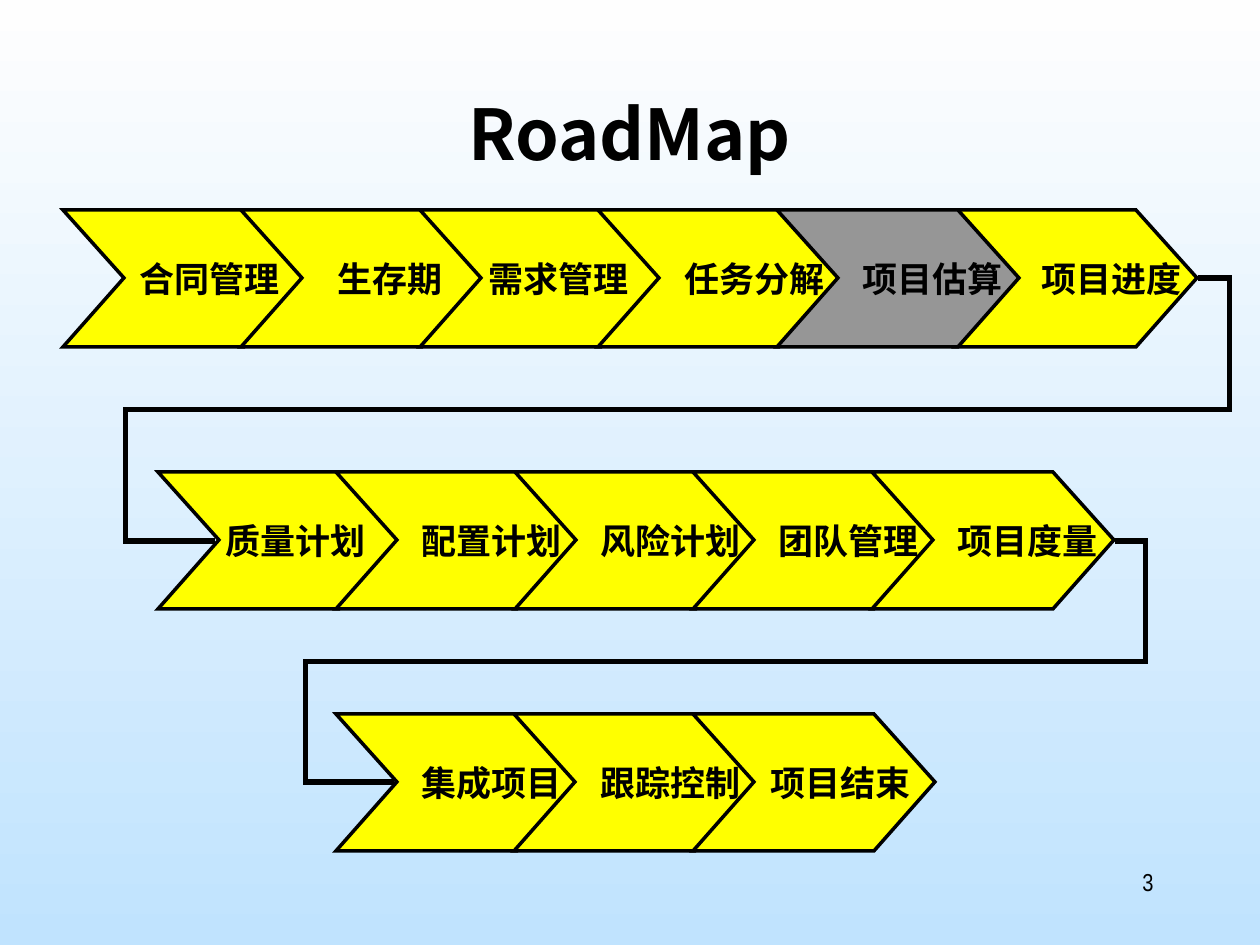
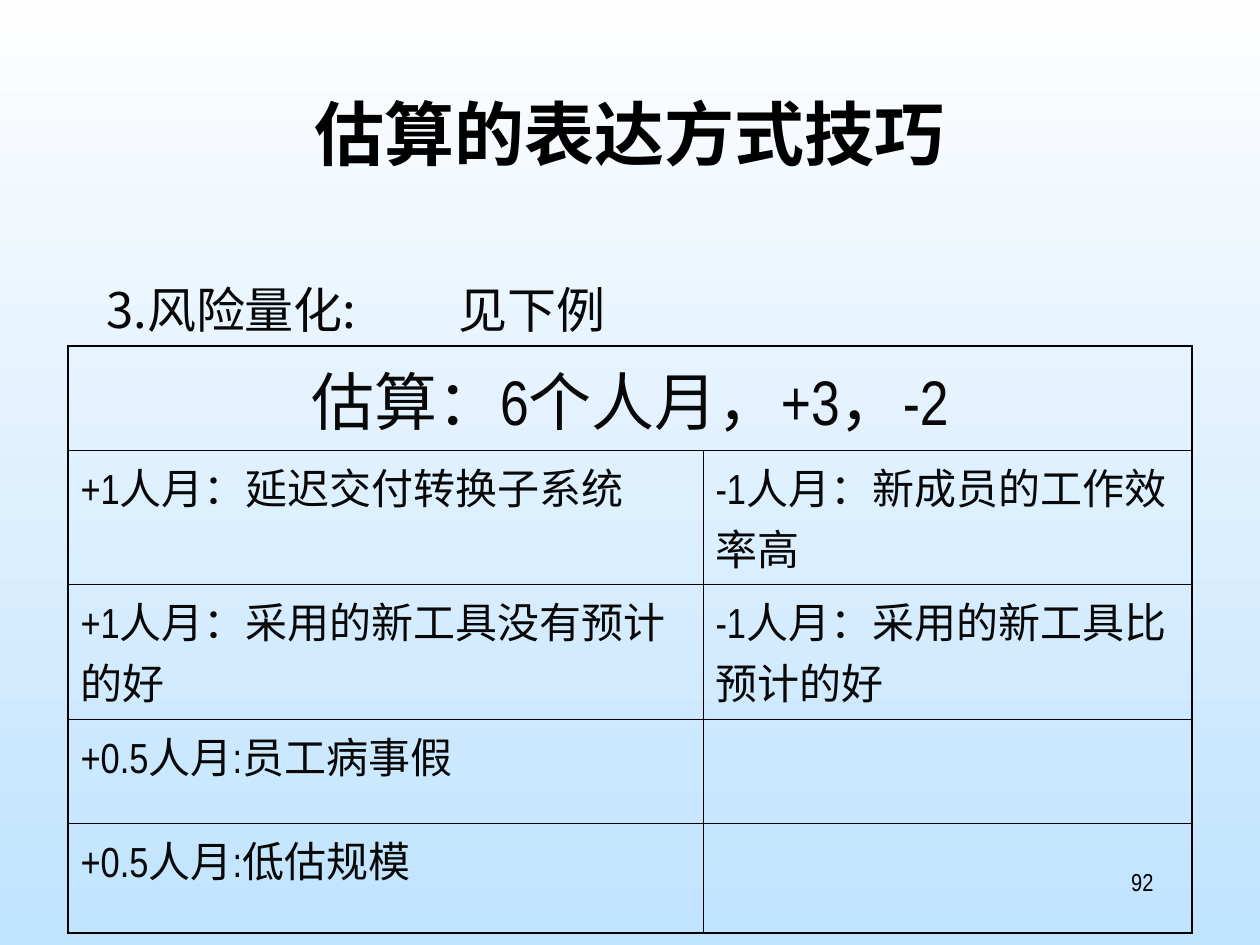
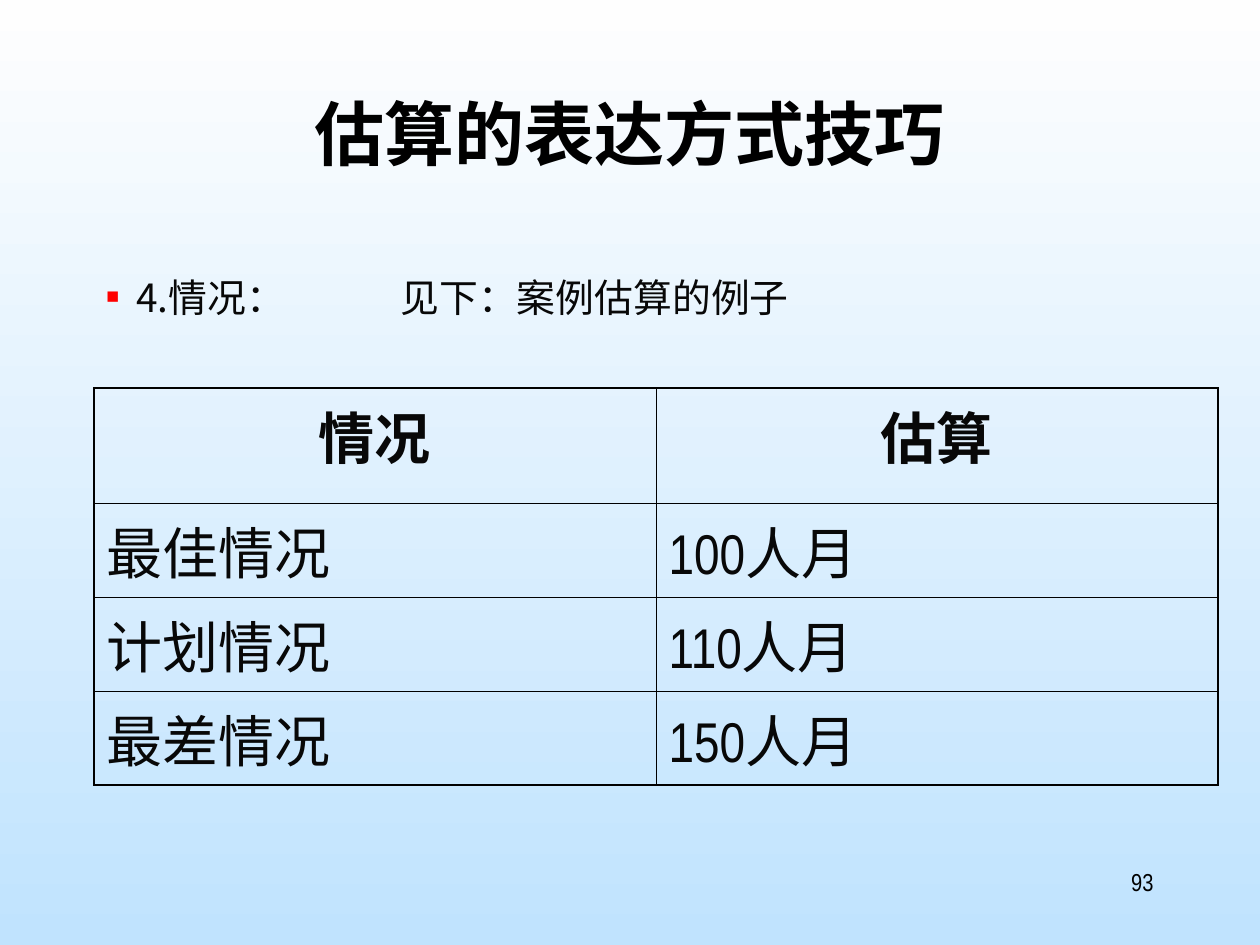
import pptx
import pptx.dml.color
import pptx.enum.shapes
import pptx.enum.text
import pptx.oxml
import pptx.oxml.ns
import pptx.util
from lxml import etree

RGB = pptx.dml.color.RGBColor
ALIGN = pptx.enum.text.PP_ALIGN
BLACK = RGB(0x00, 0x00, 0x00)
INK = RGB(0x08, 0x08, 0x08)
YELLOW = RGB(0xFF, 0xFF, 0x00)
GREY = RGB(0x96, 0x96, 0x96)
RED = RGB(0xFF, 0x00, 0x00)
SKY_TOP = RGB(0xFE, 0xFE, 0xFE)
SKY_BOTTOM = RGB(0xC0, 0xE3, 0xFE)

NARROW = "Arial Narrow"
SANS = "Noto Sans CJK SC"
PX_PER_INCH = 126
EMU_PER_PX = 914400 / PX_PER_INCH

# Chevron geometry in px; the pitch is half of PITCH_PAIR
STEP_W, STEP_H, STEP_NOTCH, PITCH_PAIR = 242, 137, 61, 357
INSET = 12
LABEL_SHIFT = 35

# Each row: left, top, and (label, shift of the label from the centre)
ROADMAP = [
    (63, 210, [("合同管理", 26), ("生存期", 28), ("需求管理", 18),
               ("任务分解", 36), ("项目估算", LABEL_SHIFT),
               ("项目进度", 36)]),
    (158, 472, [("质量计划", 17), ("配置计划", LABEL_SHIFT),
                ("风险计划", LABEL_SHIFT), ("团队管理", LABEL_SHIFT),
                ("项目度量", LABEL_SHIFT)]),
    (336, 714, [("集成项目", LABEL_SHIFT), ("跟踪控制", 36),
                ("项目结束", 27)]),
]
CURRENT_STEP = "项目估算"

RISKS = [
    ["估算：6个人月，+3，-2", ""],
    ["+1人月：延迟交付转换子系统", "-1人月：新成员的工作效率高"],
    ["+1人月：采用的新工具没有预计的好", "-1人月：采用的新工具比预计的好"],
    ["+0.5人月:员工病事假", ""],
    ["+0.5人月:低估规模", ""],
]
CASES = [
    ["情况", "估算"],
    ["最佳情况", "100人月"],
    ["计划情况", "110人月"],
    ["最差情况", "150人月"],
]


def px(length):
    return pptx.util.Emu(round(length * EMU_PER_PX))


def set_all(target, values):
    for name, value in values.items():
        setattr(target, name, value)


def add_xml(parent, tag, **attributes):
    child = etree.SubElement(parent, pptx.oxml.ns.qn(tag))
    for name, value in attributes.items():
        child.set(name, str(value))
    return child


def write(paragraph, text, size, font=NARROW, color=BLACK, bold=False, **layout):
    """Put one formatted run in a paragraph; layout holds paragraph values."""
    set_all(paragraph, layout)
    run = paragraph.add_run()
    run.text = text
    set_all(run.font, {"name": font, "size": pptx.util.Pt(size), "bold": bold})
    run.font.color.rgb = color
    add_xml(run.font._element, "a:ea", typeface=SANS)


def add_text(slide, box, text, size, **style):
    frame = slide.shapes.add_textbox(*map(px, box)).text_frame
    frame.word_wrap = True
    write(frame.paragraphs[0], text, size, **style)
    return frame.paragraphs[0]


def add_tab(paragraph, position):
    tabs = add_xml(paragraph._p.get_or_add_pPr(), "a:tabLst")
    add_xml(tabs, "a:tab", pos=px(position), algn="l")


def add_bullet(paragraph, indent):
    props = paragraph._p.get_or_add_pPr()
    props.set("marL", str(px(indent)))
    props.set("indent", str(-px(indent)))
    add_xml(add_xml(props, "a:buClr"), "a:srgbClr", val=RED)
    add_xml(props, "a:buSzPct", val=55000)
    add_xml(props, "a:buFont", typeface=NARROW)
    add_xml(props, "a:buChar", char="■")


def draw_line(line, points):
    """Black line with sharp corners."""
    line.color.rgb = BLACK
    line.width = pptx.util.Pt(points)
    add_xml(line._get_or_add_ln(), "a:miter", lim=800000)


def paint_background(master):
    fill = master.background.fill
    fill.gradient()
    fill.gradient_angle = 270
    for stop, color in zip(fill.gradient_stops, (SKY_TOP, SKY_BOTTOM)):
        stop.color.rgb = color


def new_slide(deck, title, number):
    slide = deck.slides.add_slide(deck.slide_layouts[6])
    add_text(slide, (94, 84, 1071, 158), title, 40, font=SANS, bold=True,
             alignment=ALIGN.CENTER)
    add_text(slide, (903, 861, 263, 63), number, 14, alignment=ALIGN.RIGHT)
    return slide


def add_step(slide, left, top, label, shift):
    right, bottom, middle = left + STEP_W, top + STEP_H, top + STEP_H / 2
    outline = slide.shapes.build_freeform(left, top, scale=EMU_PER_PX)
    outline.add_line_segments([
        (right - STEP_NOTCH, top), (right, middle),
        (right - STEP_NOTCH, bottom), (left, bottom),
        (left + STEP_NOTCH, middle)], close=True)
    step = outline.convert_to_shape()
    step.shadow.inherit = False
    step.fill.solid()
    step.fill.fore_color.rgb = GREY if label == CURRENT_STEP else YELLOW
    draw_line(step.line, 2)
    set_all(step.text_frame, {
        "word_wrap": False,
        "vertical_anchor": pptx.enum.text.MSO_ANCHOR.MIDDLE,
        "margin_left": px(INSET + 2 * shift),
        "margin_right": px(INSET),
    })
    write(step.text_frame.paragraphs[0], label, 20, bold=True,
          alignment=ALIGN.CENTER)


def add_return_line(slide, start, end, outer_x, inner_x):
    """Lead from the end of one row round to the start of the next."""
    connector = slide.shapes.add_connector(
        pptx.enum.shapes.MSO_CONNECTOR.ELBOW, *map(px, start + end))
    draw_line(connector.line, 3)
    props = connector._element.spPr
    add_xml(props, "a:effectLst")
    geometry = props.find(pptx.oxml.ns.qn("a:prstGeom"))
    geometry.set("prst", "bentConnector5")
    run = end[0] - start[0]
    bends = ((outer_x - start[0]) / run, 0.5, (inner_x - start[0]) / run)
    for index, bend in enumerate(bends, 1):
        add_xml(geometry.find(pptx.oxml.ns.qn("a:avLst")), "a:gd",
                name=f"adj{index}", fmla=f"val {round(bend * 100000)}")


def set_borders(cell, outer_sides):
    props = cell._tc.get_or_add_tcPr()
    for index, side in enumerate("LRTB"):
        points = 1.08 if side in outer_sides else 0.45
        border = add_xml(props, f"a:ln{side}", w=pptx.util.Pt(points))
        add_xml(add_xml(border, "a:solidFill"), "a:srgbClr", val=BLACK)
        props.insert(index, border)


def add_grid(slide, left, top, widths, heights, rows, size, gap, header,
             header_span=1):
    box = map(px, (left, top, sum(widths), sum(heights)))
    table = slide.shapes.add_table(len(rows), len(widths), *box).table
    set_all(table, {"first_row": False, "horz_banding": False})
    if header_span > 1:
        table.cell(0, 0).merge(table.cell(0, header_span - 1))
    for column, width in zip(table.columns, widths):
        column.width = px(width)
    for r, (texts, height) in enumerate(zip(rows, heights)):
        table.rows[r].height = px(height)
        for c, text in enumerate(texts):
            cell = table.cell(r, c)
            cell.fill.background()
            edges = {"L": c == 0, "R": c + cell.span_width >= len(widths),
                     "T": r == 0, "B": r == len(rows) - 1}
            set_borders(cell, [side for side, outer in edges.items() if outer])
            if text:
                style = {"size": size, "space_before": pptx.util.Pt(gap)}
                if r == 0:
                    style.update(header)
                write(cell.text_frame.paragraphs[0], text, color=INK, **style)


def build_roadmap(deck):
    slide = new_slide(deck, "RoadMap", "3")
    for left, top, steps in ROADMAP:
        # The current step goes last, so that it lies over its neighbours
        ordered = sorted(enumerate(steps),
                         key=lambda entry: entry[1][0] == CURRENT_STEP)
        for index, (label, shift) in ordered:
            add_step(slide, left + index * PITCH_PAIR // 2, top, label, shift)
    add_return_line(slide, (1198, 278), (215, 541), 1229, 126)
    add_return_line(slide, (1115, 541), (394, 782), 1145, 305)


def build_risks(deck):
    slide = new_slide(deck, "估算的表达方式技巧", "92")
    lead = add_text(slide, (94, 273, 1071, 105), "3.风险量化:\t见下例", 28,
                    font=SANS, color=INK, space_before=pptx.util.Pt(7))
    add_tab(lead, 352)
    add_grid(
        slide, 68, 346, (635, 489), (104, 134, 135, 104, 110), RISKS, 24, 6,
        {"size": 36, "space_before": pptx.util.Pt(9), "alignment": ALIGN.CENTER},
        header_span=2)


def build_cases(deck):
    slide = new_slide(deck, "估算的表达方式技巧", "93")
    lead = add_text(slide, (94, 273, 1071, 63), "4.情况：\t见下：案例估算的例子",
                    22.2, font=SANS, color=INK, line_spacing=0.9,
                    space_before=pptx.util.Pt(6))
    add_bullet(lead, 30)
    add_tab(lead, 294)
    add_grid(slide, 94, 388, (562, 562), (115, 94, 94, 94), CASES, 32, 8,
             {"bold": True, "alignment": ALIGN.CENTER})


def main():
    deck = pptx.Presentation()
    set_all(deck, {"slide_width": px(1260), "slide_height": px(945)})
    paint_background(deck.slide_master)
    build_roadmap(deck)
    build_risks(deck)
    build_cases(deck)
    deck.save("out.pptx")


if __name__ == "__main__":
    main()
